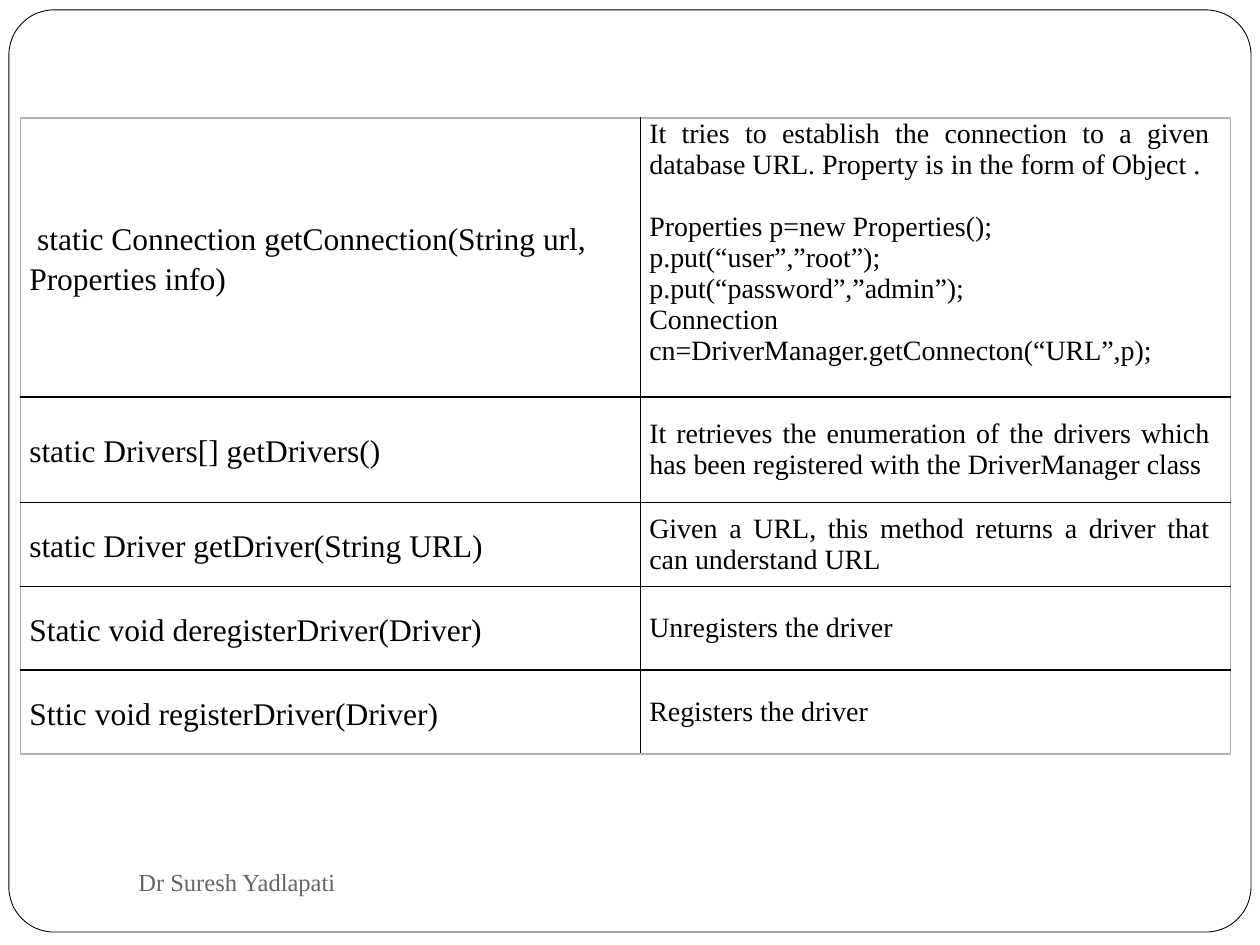
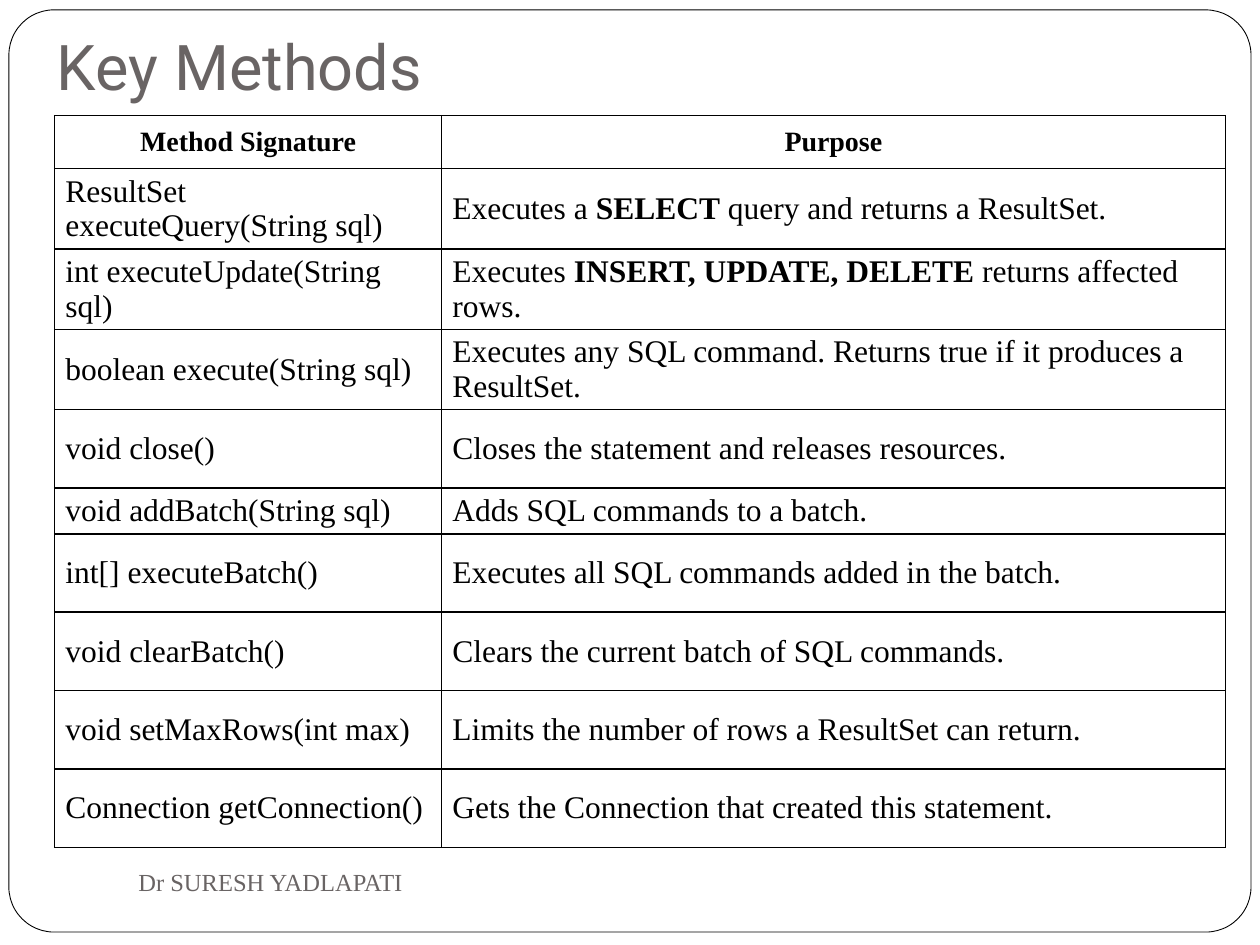
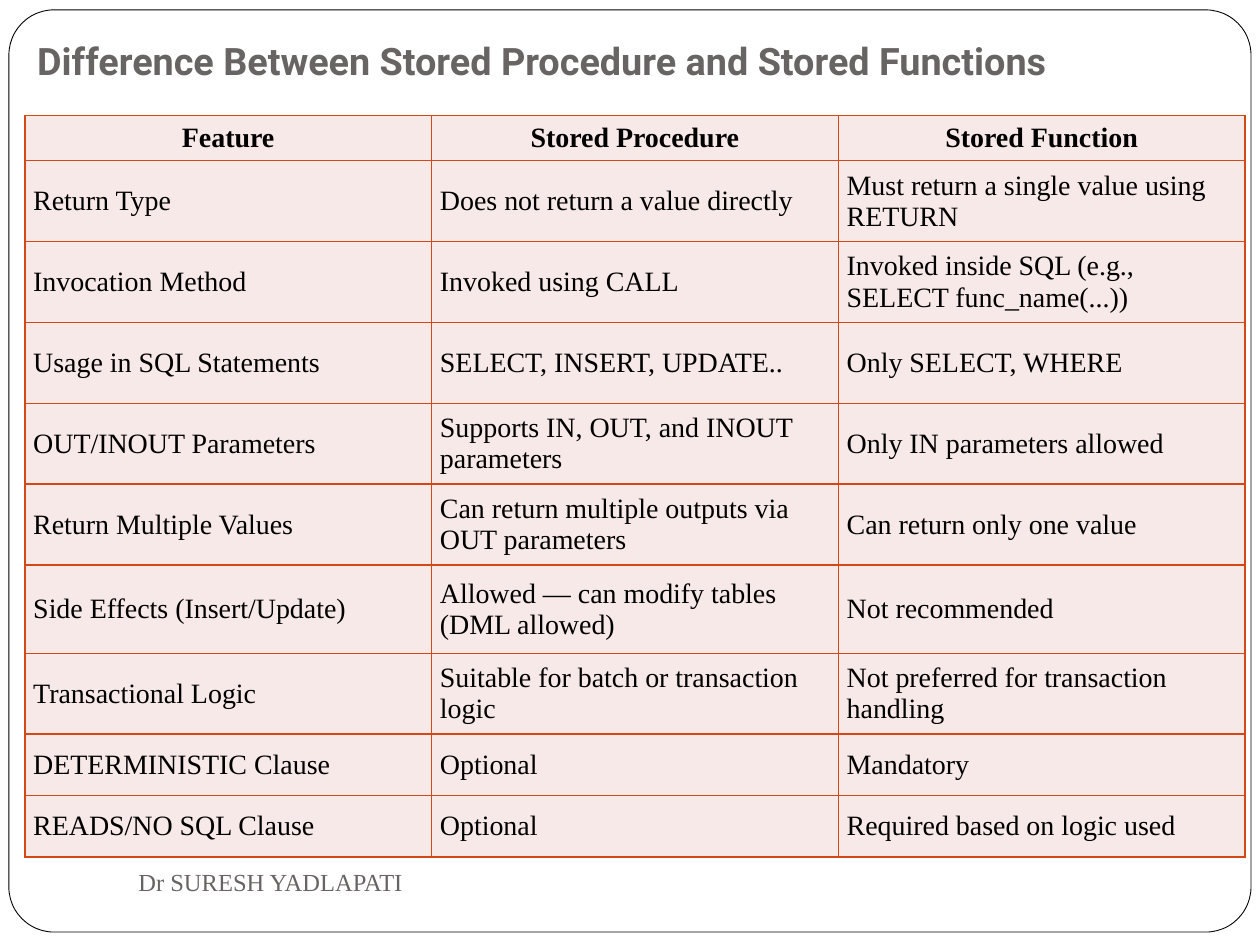
import pptx
import pptx.util
import pptx.dml.color
import pptx.enum.shapes
import pptx.enum.text
import pptx.oxml.ns
from lxml import etree

Cm, Pt = pptx.util.Cm, pptx.util.Pt
ALIGN = pptx.enum.text.PP_ALIGN
ANCHOR = pptx.enum.text.MSO_ANCHOR

COLORS = {"ink": "000000", "paper": "FFFFFF", "muted": "696464",
          "edge": "B2B2B2", "rule": "D34817", "tint": "F7E9E8"}
HEADING_FONT, BODY_FONT = "Roboto", "Times New Roman"

# Content: ** marks bold words, a list is a cell of several paragraphs
DRIVER_MANAGER_METHODS = [
    ("static Connection getConnection(String url, Properties info)",
     ["It tries to establish the connection to a given database URL. "
      "Property is in the form of Object .",
      "Properties p=new Properties();",
      "p.put(“user”,”root”);",
      "p.put(“password”,”admin”);",
      "Connection cn=DriverManager.getConnecton(“URL”,p);"]),
    ("static Drivers[] getDrivers()",
     "It retrieves the enumeration of the drivers which has been registered "
     "with the DriverManager class"),
    ("static Driver getDriver(String URL)",
     "Given a URL, this method returns a driver that can understand URL"),
    ("Static void deregisterDriver(Driver)", "Unregisters the driver"),
    ("Sttic void registerDriver(Driver)", "Registers the driver"),
]

STATEMENT_METHODS = [
    ("Method Signature", "Purpose"),
    ("ResultSet executeQuery(String sql)",
     "Executes a **SELECT** query and returns a ResultSet."),
    ("int executeUpdate(String sql)",
     "Executes **INSERT, UPDATE, DELETE **returns affected rows."),
    ("boolean execute(String sql)",
     "Executes any SQL command. Returns true if it produces a ResultSet."),
    ("void close()", "Closes the statement and releases resources."),
    ("void addBatch(String sql)", "Adds SQL commands to a batch."),
    ("int[] executeBatch()", "Executes all SQL commands added in the batch."),
    ("void clearBatch()", "Clears the current batch of SQL commands."),
    ("void setMaxRows(int max)",
     "Limits the number of rows a ResultSet can return."),
    ("Connection getConnection()",
     "Gets the Connection that created this statement."),
]

PROCEDURE_VS_FUNCTION = [
    ("Feature", "Stored Procedure", "Stored Function"),
    ("Return Type", "Does not return a value directly",
     "Must return a single value using RETURN"),
    ("Invocation Method", "Invoked using CALL",
     "Invoked inside SQL (e.g., SELECT func_name(...))"),
    ("Usage in SQL Statements", "SELECT, INSERT, UPDATE..",
     "Only SELECT, WHERE"),
    ("OUT/INOUT Parameters", "Supports IN, OUT, and INOUT parameters",
     "Only IN parameters allowed"),
    ("Return Multiple Values", "Can return multiple outputs via OUT parameters",
     "Can return only one value"),
    ("Side Effects (Insert/Update)",
     "Allowed — can modify tables (DML allowed)", "Not recommended"),
    ("Transactional Logic", "Suitable for batch or transaction logic",
     "Not preferred for transaction handling"),
    ("DETERMINISTIC Clause", "Optional", "Mandatory"),
    ("READS/NO SQL Clause", "Optional", "Required based on logic used"),
]

# Lengths in centimetres, text sizes in points
SLIDES = [
    {"footer": "Dr Suresh Yadlapati",
     "rows": DRIVER_MANAGER_METHODS, "at": (0.41, 2.38),
     "widths": [12.5, 11.9], "heights": [5.62, 2.13] + [1.69] * 3,
     "insets": (0.18, 0), "sizes": (18, 16), "edge": "edge"},
    {"footer": "Dr SURESH YADLAPATI",
     "title": ("Key Methods", 36, False, (0.9, 0.53, 22.4, 1.8)),
     "rows": STATEMENT_METHODS, "at": (1.1, 2.33), "header": True,
     "widths": [7.8, 15.8],
     "heights": [1.07] + [1.62] * 3 + [1.58, 0.92] + [1.58] * 4,
     "insets": (0.22, 0.03), "sizes": (18, 18)},
    {"footer": "Dr SURESH YADLAPATI",
     "title": ("Difference Between Stored Procedure and Stored Functions",
               21.6, True, (0.5, 0.76, 24.6, 1.17)),
     "rows": PROCEDURE_VS_FUNCTION, "at": (0.5, 2.33), "header": True,
     "widths": [8.2] * 3,
     "heights": [0.91] + [1.63] * 5 + [1.78, 1.63, 1.24, 1.24],
     "insets": (0.17, 0.05), "sizes": (16, 16, 16),
     "rule": "rule", "edge": "rule", "fill": "tint"},
]


def rgb(name):
    return pptx.dml.color.RGBColor.from_string(COLORS[name])


def style(font, size, color="ink", bold=False, face=BODY_FONT):
    font.name, font.size, font.bold = face, Pt(size), bold
    font.color.rgb = rgb(color)


def add_text(slide, text, box, anchor, **look):
    frame = slide.shapes.add_textbox(*map(Cm, box)).text_frame
    frame.word_wrap = True
    frame.vertical_anchor = anchor
    frame.text = text
    style(frame.paragraphs[0].runs[0].font, **look)
    return frame


def add_frame(slide):
    border = slide.shapes.add_shape(
        pptx.enum.shapes.MSO_SHAPE.ROUNDED_RECTANGLE,
        *map(Cm, (0.18, 0.2, 25.04, 18.59)))
    border.adjustments[0] = 0.049
    border.shadow.inherit = False
    border.fill.solid()
    border.fill.fore_color.rgb = rgb("paper")
    border.line.color.rgb = rgb("ink")
    border.line.width = Pt(0.5)


def set_borders(cell, colors):
    properties = cell._tc.get_or_add_tcPr()
    for side, color in zip("LRTB", colors):
        line = etree.SubElement(properties, pptx.oxml.ns.qn(f"a:ln{side}"),
                                w=str(Pt(1)))
        fill = etree.SubElement(line, pptx.oxml.ns.qn("a:solidFill"))
        etree.SubElement(fill, pptx.oxml.ns.qn("a:srgbClr"), val=COLORS[color])


def fill_cell(cell, content, size, bold):
    paragraphs = content if isinstance(content, list) else [content]
    cell.text_frame.text = "\n".join(paragraphs)
    for paragraph, text in zip(cell.text_frame.paragraphs, paragraphs):
        paragraph.text = ""
        for i, part in enumerate(text.split("**")):
            run = paragraph.add_run()
            run.text = part
            style(run.font, size, bold=bold or i % 2 == 1)
        if bold:
            paragraph.alignment = ALIGN.CENTER


def add_grid(slide, spec):
    rows, widths, heights = spec["rows"], spec["widths"], spec["heights"]
    table = slide.shapes.add_table(
        len(rows), len(widths), *map(Cm, spec["at"]),
        Cm(sum(widths)), Cm(sum(heights))).table
    table.first_row = table.horz_banding = False
    for column, width in zip(table.columns, widths):
        column.width = Cm(width)
    for row, height in zip(table.rows, heights):
        row.height = Cm(height)

    rule = spec.get("rule", "ink")
    edge = spec.get("edge", rule)
    side, top = map(Cm, spec["insets"])
    for r, row in enumerate(rows):
        for c, content in enumerate(row):
            cell = table.cell(r, c)
            cell.margin_left = cell.margin_right = side
            cell.margin_top = cell.margin_bottom = top
            cell.vertical_anchor = ANCHOR.MIDDLE
            outer = (c == 0, c == len(widths) - 1, r == 0, r == len(rows) - 1)
            set_borders(cell, [edge if out else rule for out in outer])
            if "fill" in spec:
                cell.fill.solid()
                cell.fill.fore_color.rgb = rgb(spec["fill"])
            else:
                cell.fill.background()
            heading = r == 0 and spec.get("header", False)
            fill_cell(cell, content, 16 if heading else spec["sizes"][c], heading)
    return table


def refine_driver_methods(table):
    """Loosen the signatures, justify the purposes and set off the code."""
    for r in range(len(DRIVER_MANAGER_METHODS)):
        signature, purpose = table.cell(r, 0), table.cell(r, 1)
        signature.text_frame.paragraphs[0].line_spacing = 1.15
        purpose.margin_right = Cm(0.42)
        for paragraph in purpose.text_frame.paragraphs:
            paragraph.alignment = ALIGN.JUSTIFY
    first_line = table.cell(0, 0).text_frame.paragraphs[0]
    first_line._p.get_or_add_pPr().set("indent", str(Pt(4.5)))
    example = table.cell(0, 1)
    example.vertical_anchor = ANCHOR.TOP
    example.text_frame.paragraphs[1].space_before = Pt(17.7)


def main():
    deck = pptx.Presentation()
    deck.slide_width, deck.slide_height = Cm(25.4), Cm(19.05)
    for spec in SLIDES:
        slide = deck.slides.add_slide(deck.slide_layouts[6])
        add_frame(slide)
        if "title" in spec:
            title, size, bold, box = spec["title"]
            frame = add_text(slide, title, box, ANCHOR.BOTTOM, size=size,
                             color="muted", bold=bold, face=HEADING_FONT)
            frame.margin_bottom = Cm(0.25)
        add_text(slide, spec["footer"], (2.54, 17.13, 11, 1.27),
                 ANCHOR.MIDDLE, size=14, color="muted")
        table = add_grid(slide, spec)
        if spec["rows"] is DRIVER_MANAGER_METHODS:
            refine_driver_methods(table)
    deck.save("out.pptx")


if __name__ == "__main__":
    main()
